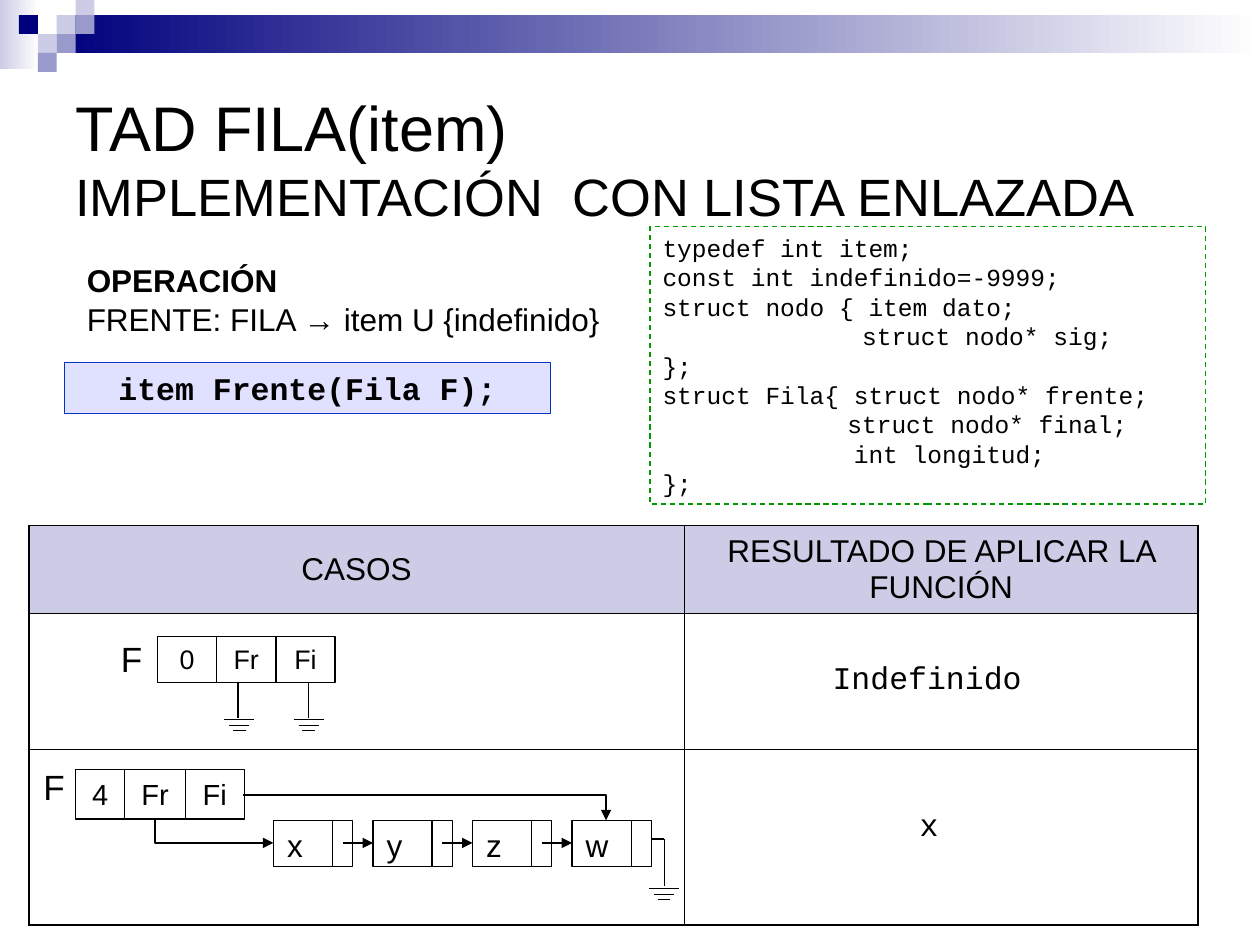
from lxml import etree
from pptx import Presentation
from pptx.dml.color import RGBColor
from pptx.enum.dml import MSO_LINE
from pptx.enum.shapes import MSO_CONNECTOR, MSO_SHAPE
from pptx.enum.text import MSO_ANCHOR, MSO_AUTO_SIZE, PP_ALIGN
from pptx.oxml.ns import qn
from pptx.util import Inches, Pt

RECT = MSO_SHAPE.RECTANGLE
STRAIGHT, ELBOW = MSO_CONNECTOR.STRAIGHT, MSO_CONNECTOR.ELBOW
LEFT, CENTER = PP_ALIGN.LEFT, PP_ALIGN.CENTER
TOP, MIDDLE = MSO_ANCHOR.TOP, MSO_ANCHOR.MIDDLE
GROW = MSO_AUTO_SIZE.SHAPE_TO_FIT_TEXT
DASH = MSO_LINE.DASH

THEME = {
    "black": "000000", "white": "FFFFFF", "navy": "00007D",
    "lavender": "CCCCE6", "violet": "9999CC", "tint": "9999FF",
    "blue": "0033CC", "green": "009900",
    "title": {"name": "Arial", "size": Pt(36)},
    "subtitle": {"name": "Arial", "size": Pt(30)},
    "body": {"name": "Arial", "size": Pt(18)},
    "heading": {"name": "Arial", "size": Pt(18), "bold": True},
    "queue": {"name": "Arial", "size": Pt(20)},
    "empty_field": {"name": "Arial", "size": Pt(15.3)},
    "full_field": {"name": "Arial", "size": Pt(16.6)},
    "code": {"name": "Courier New", "size": Pt(14)},
    "signature": {"name": "Courier New", "size": Pt(18), "bold": True},
    "result": {"name": "Courier New", "size": Pt(18)},
}

TITLE, SUBTITLE = "TAD FILA(item)", "IMPLEMENTACIÓN  CON LISTA ENLAZADA"
CODE = [
    "typedef int item;",
    "const int indefinido=-9999;",
    "struct nodo { item dato;",
    "\t     struct nodo* sig;",
    "};",
    "struct Fila{ struct nodo* frente;",
    "\t    struct nodo* final;",
    "             int longitud;",
    "};",
]
SIGNATURE = "item Frente(Fila F);"
CAPTIONS = [
    ("FRENTE: FILA → item U {indefinido}", "body", (0.59, 2.33, 4.28, 0.4)),
    ("OPERACIÓN", "heading", (0.59, 2.02, 1.75, 0.4)),
    ("Indefinido", "result", (6.51, 5.17, 1.7, 0.4)),
    ("x", "result", (7.2, 6.34, 0.35, 0.4)),
]
HEADERS = ["CASOS", "RESULTADO DE APLICAR LA FUNCIÓN"]
COLUMN_WIDTHS, ROW_HEIGHTS = [5.2, 4.08], [0.7, 1.08, 1.39]
QUEUES = [
    ((0.78, 5.01, 0.53, 0.56), (1.25, 5.05, 0.37), "empty_field",
     [("0", 0.47), ("Fr", 0.47), ("Fi", 0.47)]),
    ((0.16, 6.03, 0.54, 0.62), (0.6, 6.11, 0.39), "full_field",
     [("4", 0.39), ("Fr", 0.48), ("Fi", 0.47)]),
]
NODES = ["x", "y", "z", "w"]
NODE_LEFT, NODE_TOP, NODE_HEIGHT = 2.17, 6.51, 0.37
NODE_PITCH, DATA_WIDTH, NEXT_WIDTH = 0.79, 0.47, 0.16
GROUNDS = [(1.9, 5.71), (2.45, 5.71), (5.27, 7.05)]
GROUND_BARS = [(0, 0.24), (0.05, 0.16), (0.09, 0.1)]
MOSAIC_UNIT, MOSAIC_TOP = 0.15, -0.03
MOSAIC = [
    (3, 1, "lavender"), (4, 0, "lavender"), (4, 1, "violet"), (2, 2, "lavender"),
    (1, 1, "navy"), (3, 2, "violet"), (2, 3, "violet"),
]
GRADIENTS = [((0, -0.03, 0.31, 0.58), "lavender"), ((0.45, 0.12, 9.55, 0.3), "navy")]

prs = Presentation()
prs.slide_width, prs.slide_height = Inches(10), Inches(7.5)
slide = prs.slides.add_slide(prs.slide_layouts[6])


def rgb(name):
    return RGBColor.from_string(THEME[name])


def style(font, role):
    for attribute, value in THEME[role].items():
        setattr(font, attribute, value)
    font.color.rgb = rgb("black")


def write(frame, lines, role, align=LEFT, anchor=TOP, wrap=True):
    frame.word_wrap, frame.vertical_anchor = wrap, anchor
    for index, line in enumerate(lines):
        paragraph = frame.add_paragraph() if index else frame.paragraphs[0]
        paragraph.alignment = align
        if "\t" in line:
            tabs = etree.SubElement(paragraph._p.get_or_add_pPr(), qn("a:tabLst"))
            etree.SubElement(tabs, qn("a:tab"), pos=str(Inches(1)), algn="l")
        run = paragraph.add_run()
        run.text = line
        style(run.font, role)


def box(place, fill=None, line=None):
    shape = slide.shapes.add_shape(RECT, *map(Inches, place))
    shape.shadow.inherit = False
    if fill:
        shape.fill.solid()
        shape.fill.fore_color.rgb = rgb(fill)
    else:
        shape.fill.background()
    if line:
        shape.line.color.rgb = rgb(line)
        shape.line.width = Pt(0.75)
    else:
        shape.line.fill.background()
    return shape


def label(place, lines, role, **layout):
    frame = slide.shapes.add_textbox(*map(Inches, place)).text_frame
    write(frame, lines, role, **layout)
    return frame


def link(start, end, arrow=False, kind=STRAIGHT, width=0.75):
    connector = slide.shapes.add_connector(kind, *map(Inches, start + end))
    connector.line.color.rgb = rgb("black")
    connector.line.width = Pt(width)
    if arrow:
        etree.SubElement(connector.line._get_or_add_ln(), qn("a:tailEnd"), type="triangle")
    etree.SubElement(connector._element.spPr, qn("a:effectLst"))
    return connector


def elbow(start, end, down_first=False):
    connector = link(start, end, True, ELBOW)
    properties = connector._element.spPr
    properties.find(qn("a:prstGeom")).set("prst", "bentConnector2")
    if down_first:
        width, height = end[0] - start[0], end[1] - start[1]
        connector.left = Inches(start[0] + (width - height) / 2)
        connector.top = Inches(start[1] + (height - width) / 2)
        connector.width, connector.height = Inches(height), Inches(width)
        frame = properties.find(qn("a:xfrm"))
        frame.set("rot", "16200000")
        frame.set("flipH", "1")


def border(cell, edges):
    properties = cell._tc.get_or_add_tcPr()
    for tag, outer in edges:
        edge = etree.SubElement(properties, qn(f"a:{tag}"), w=str(Pt(1.08 if outer else 0.45)))
        paint = etree.SubElement(edge, qn("a:solidFill"))
        etree.SubElement(paint, qn("a:srgbClr"), val=THEME["black"])


for place, color in GRADIENTS:
    band = box(place)
    band.fill.gradient()
    band.fill.gradient_angle = 0
    for stop, position, shade in zip(band.fill.gradient_stops, (0, 1), (color, "white")):
        stop.position, stop.color.rgb = position, rgb(shade)
for column, row, color in MOSAIC:
    box((column * MOSAIC_UNIT, MOSAIC_TOP + row * MOSAIC_UNIT, MOSAIC_UNIT, MOSAIC_UNIT), color)

title = label((0.5, 0.5, 9, 1.5), [TITLE], "title", anchor=MIDDLE).paragraphs[0]
title.add_line_break()
subtitle = title.add_run()
subtitle.text = SUBTITLE
style(subtitle.font, "subtitle")

listing = box((5.16, 1.8, 4.41, 2.2), line="green")
listing.line.dash_style = DASH
write(listing.text_frame, CODE, "code")

signature = box((0.51, 2.88, 3.86, 0.4), "tint", "blue")
tint = signature._element.spPr.find(qn("a:solidFill"))[0]
etree.SubElement(tint, qn("a:alpha"), val="30000")
write(signature.text_frame, [SIGNATURE], "signature", CENTER)

cases = slide.shapes.add_table(
    len(ROW_HEIGHTS), len(COLUMN_WIDTHS), Inches(0.23), Inches(4.17),
    Inches(sum(COLUMN_WIDTHS)), Inches(sum(ROW_HEIGHTS))).table
cases.first_row = cases.horz_banding = False
for column, width in zip(cases.columns, COLUMN_WIDTHS):
    column.width = Inches(width)
for r, height in enumerate(ROW_HEIGHTS):
    cases.rows[r].height = Inches(height)
    for c, header in enumerate(HEADERS):
        cell = cases.cell(r, c)
        border(cell, [("lnL", c == 0), ("lnR", c == 1), ("lnT", r == 0), ("lnB", r == 2)])
        if r:
            cell.fill.background()
        else:
            cell.fill.solid()
            cell.fill.fore_color.rgb = rgb("lavender")
            write(cell.text_frame, [header], "body", CENTER)
            cell.vertical_anchor = MIDDLE

for text, role, place in CAPTIONS:
    label(place, [text], role, wrap=False).auto_size = GROW

for name_place, (left, top, height), role, fields in QUEUES:
    label(name_place, ["F"], "queue", align=CENTER)
    for text, width in fields:
        field = box((left, top, width, height), "white", "black")
        write(field.text_frame, [text], role, CENTER)
        left += width

for x, y in GROUNDS:
    for drop, width in GROUND_BARS:
        link((x - width / 2, y + drop), (x + width / 2, y + drop))
for x in (1.89, 2.45):
    link((x, 5.42), (x, 5.7))
link((5.08, 6.66), (5.27, 6.66))
link((5.27, 6.66), (5.27, 7.03), width=0.5)

for index, value in enumerate(NODES):
    left = NODE_LEFT + index * NODE_PITCH
    box((left, NODE_TOP, DATA_WIDTH, NODE_HEIGHT), "white", "black")
    box((left + DATA_WIDTH, NODE_TOP, NEXT_WIDTH, NODE_HEIGHT), "white", "black")
    label((left + 0.01, NODE_TOP, 0.54, 0.56), [value], "body")
for index in range(len(NODES) - 1):
    left = NODE_LEFT + index * NODE_PITCH
    link((left + DATA_WIDTH + NEXT_WIDTH / 2, 6.69), (left + NODE_PITCH, 6.69), True)

elbow((1.23, 6.51), (NODE_LEFT, 6.69), down_first=True)
elbow((1.93, 6.31), (4.81, NODE_TOP))

prs.save("out.pptx")
